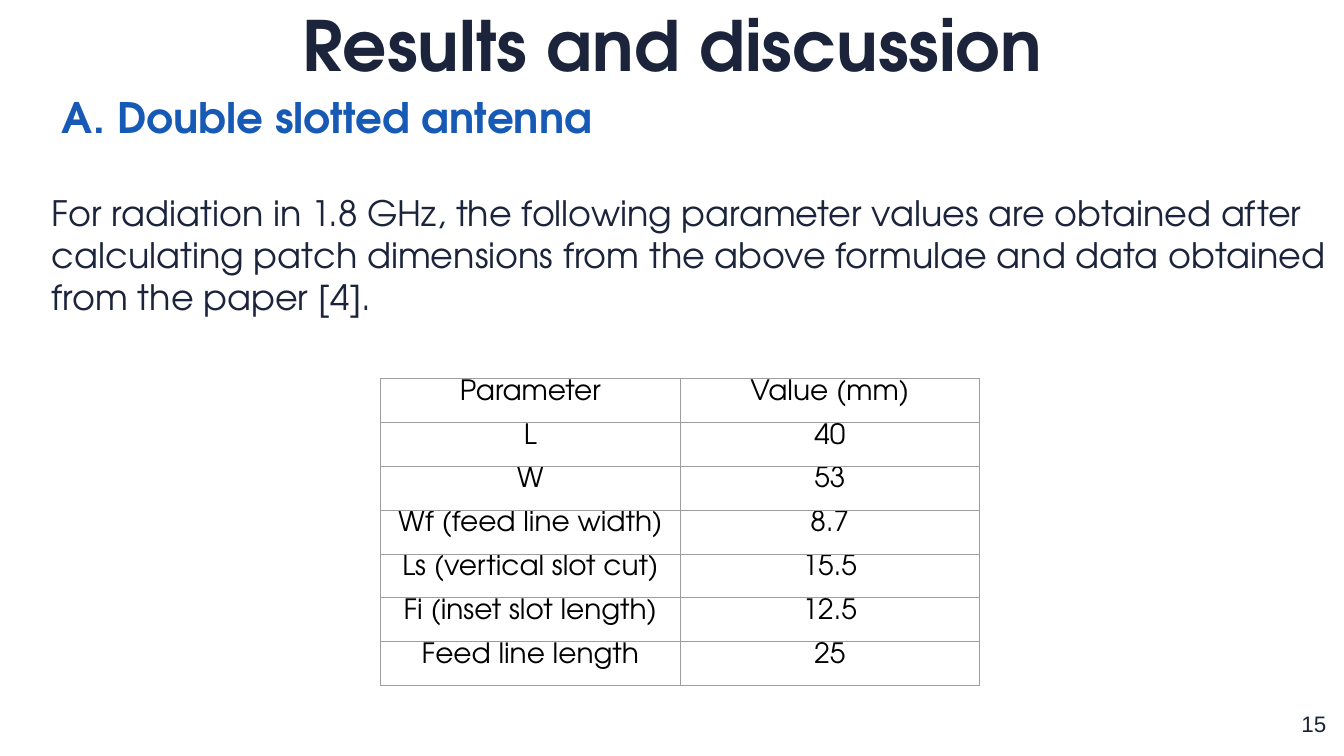
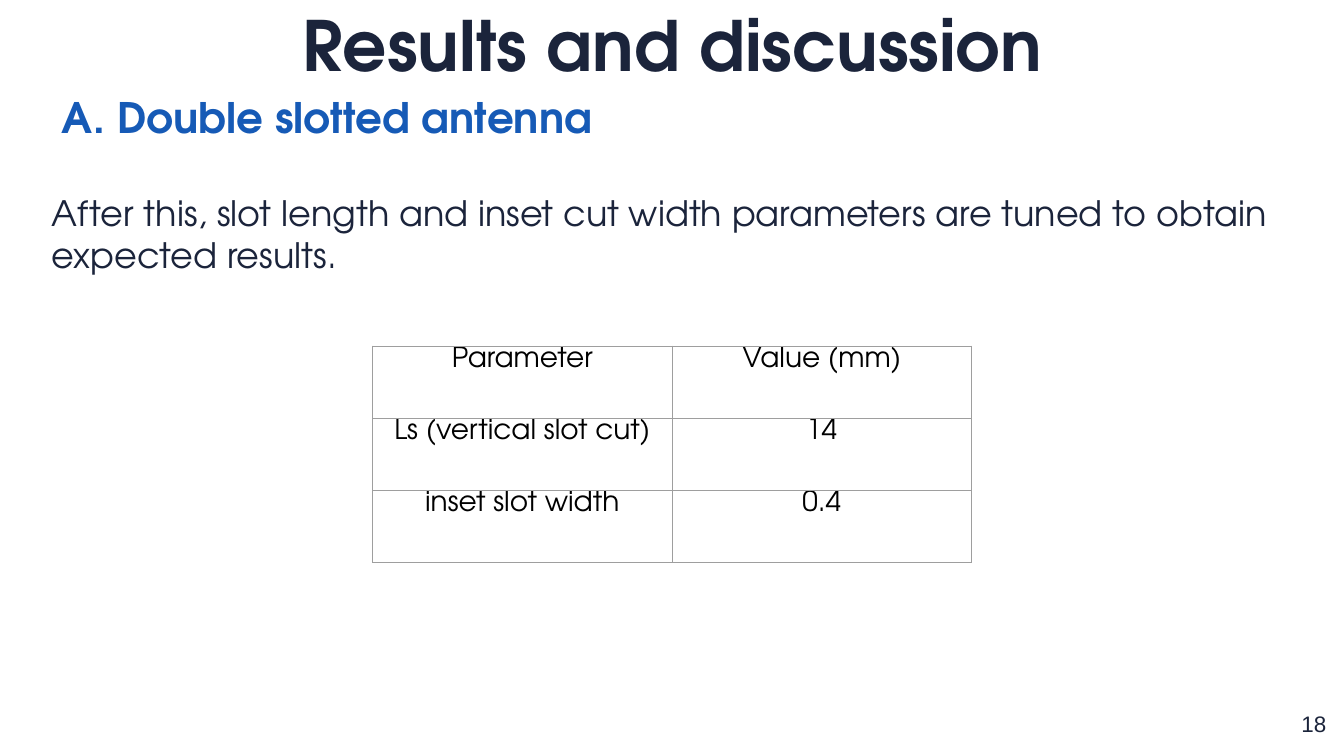
"""Builds two slides with the parameter tables of a double slotted antenna."""
from dataclasses import dataclass
from lxml.etree import SubElement as Sub
from pptx import Presentation
from pptx.dml.color import RGBColor as RGB
from pptx.enum.text import MSO_ANCHOR as Anchor, MSO_AUTO_SIZE as Auto, PP_ALIGN as Align
from pptx.oxml.ns import qn
from pptx.util import Inches, Pt


@dataclass
class Theme:
    face: str = "TeX Gyre Adventor"
    plain: str = "Arial"
    navy: str = "1B243B"
    blue: str = "165AB6"
    black: str = "000000"
    grid: str = "9E9E9E"
    title: int = 99
    head: int = 60
    body: int = 50
    cell: int = 40
    page: int = 32


theme = Theme()


def style(para, size, color, bold=False, face=theme.face, align=Align.LEFT):
    para.alignment = align
    for run in para.runs:
        font = run.font
        font.name, font.size, font.bold = face, Pt(size), bold
        font.color.rgb = RGB.from_string(color)


def setup(shape, box, pad_x, pad_y):
    shape.left, shape.top, shape.width, shape.height = map(Inches, box)
    frame = shape.text_frame
    frame.word_wrap, frame.auto_size = True, Auto.NONE
    frame.vertical_anchor = Anchor.TOP
    frame.margin_left = frame.margin_right = Inches(pad_x)
    frame.margin_top = frame.margin_bottom = Inches(pad_y)
    return frame


pages = [
    {
        "number": 15,
        "text": "For radiation in 1.8 GHz, the following parameter values are obtained after "
                "calculating patch dimensions from the above formulae and data obtained "
                "from the paper [4].",
        "depth": 9.93, "left": 7.55, "top": 7.51, "row": 0.87,
        "rows": [("L", "40"), ("W", "53"), ("Wf (feed line width)", "8.7"),
                 ("Ls (vertical slot cut)", "15.5"), ("Fi (inset slot length)", "12.5"),
                 ("Feed line length", "25")],
    },
    {
        "number": 18,
        "text": "After this, slot length and inset cut width parameters are tuned to obtain "
                "expected results.",
        "depth": 9.09, "left": 7.39, "top": 6.86, "row": 1.43,
        "rows": [("Ls (vertical slot cut)", "14"), ("inset slot width", "0.4")],
    },
]
col = 5.94

deck = Presentation()
deck.slide_width, deck.slide_height = Inches(26.66), Inches(15)

for page in pages:
    slide = deck.slides.add_slide(deck.slide_layouts[5])
    shapes = slide.shapes

    frame = setup(shapes.add_textbox(0, 0, 0, 0), (0.43, 1.76, 26.12, page["depth"]), 0.1, 0.05)
    head, body = frame.paragraphs[0], frame.add_paragraph()
    head.text, body.text = "A. Double slotted antenna", page["text"]
    style(head, theme.head, theme.blue, bold=True)
    style(body, theme.body, theme.navy)
    body.space_before = Pt(72)
    for para, indent in ((head, 0.7), (body, 0.5)):
        para._p.get_or_add_pPr().set("marL", str(Inches(indent)))

    frame = setup(shapes.title, (2.43, -0.01, 21.81, 1.77), 0.1, 0.05)
    frame.text = "Results and discussion"
    style(frame.paragraphs[0], theme.title, theme.navy, bold=True, align=Align.CENTER)

    frame = setup(shapes.add_textbox(0, 0, 0, 0), (24.95, 13.85, 1.6, 1.15), 0.24, 0.24)
    frame.text = str(page["number"])
    style(frame.paragraphs[0], theme.page, theme.navy, face=theme.plain, align=Align.RIGHT)

    rows = [("Parameter", "Value (mm)")] + page["rows"]
    place = map(Inches, (page["left"], page["top"], 2 * col, len(rows) * page["row"]))
    table = shapes.add_table(len(rows), 2, *place).table
    table.first_row = table.horz_banding = False
    for line, values in zip(table.rows, rows):
        line.height = Inches(page["row"])
        for cell, value in zip(line.cells, values):
            cell.margin_left = cell.margin_right = Inches(0.1)
            cell.margin_top = cell.margin_bottom = Inches(0.1)
            cell.text_frame.text = value
            para = cell.text_frame.paragraphs[0]
            para.line_spacing = 0.8
            style(para, theme.cell, theme.black, align=Align.CENTER)
            props = cell._tc.get_or_add_tcPr()
            for side in ("lnL", "lnR", "lnT", "lnB"):
                edge = Sub(props, qn("a:" + side), w=str(Pt(0.75)))
                Sub(Sub(edge, qn("a:solidFill")), qn("a:srgbClr"), val=theme.grid)
            cell.fill.background()

deck.save("out.pptx")
